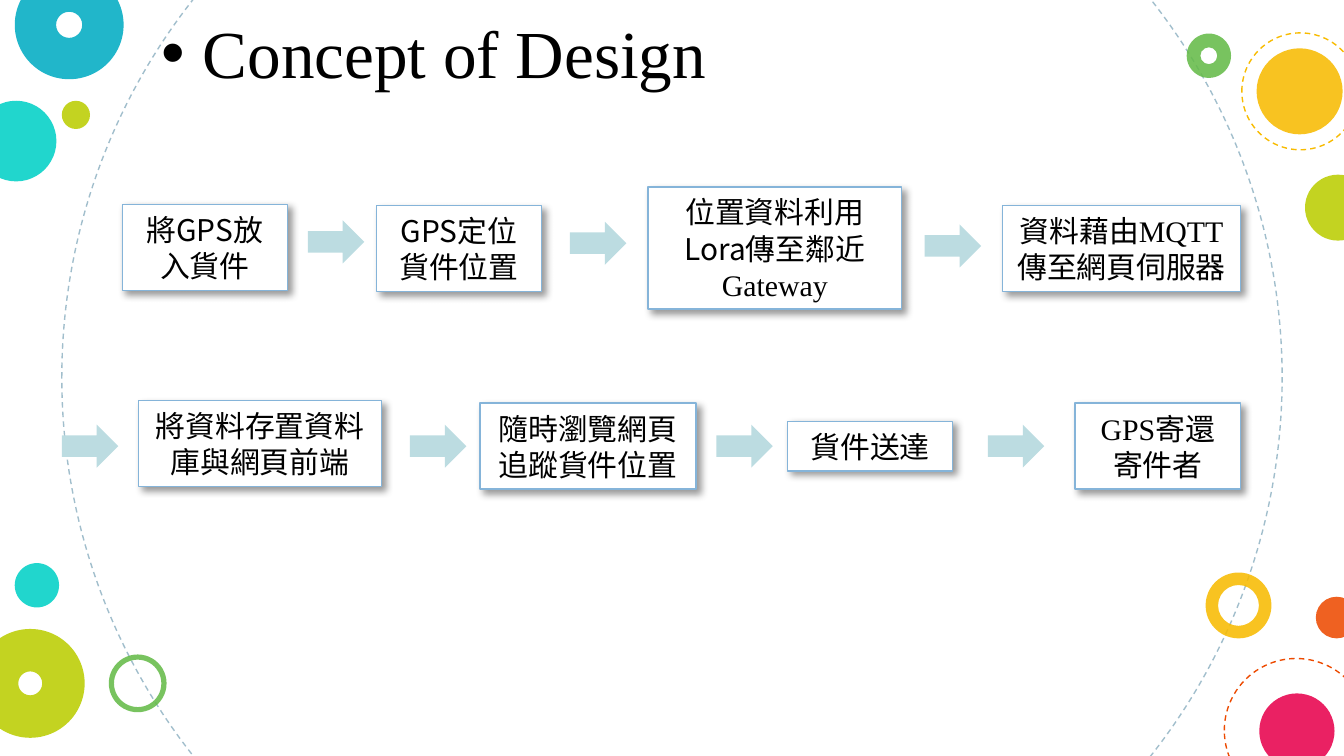
from collections import namedtuple

from lxml.etree import SubElement
from pptx import Presentation
from pptx.dml.color import RGBColor
from pptx.enum.dml import MSO_LINE
from pptx.enum.shapes import MSO_SHAPE as Shape
from pptx.enum.text import MSO_ANCHOR as Anchor, PP_ALIGN as Align
from pptx.oxml.ns import qn
from pptx.util import Emu, Inches, Pt

Box = namedtuple("Box", "x y w h")

COLORS = {
    "white": "FFFFFF", "black": "000000", "orbit": "A1BECC",
    "turquoise": "00D1C6", "cyan": "00ACC3", "lime": "BBCD00",
    "green": "65BB48", "yellow": "F8BB00", "orange": "ED4A00",
    "pink": "E8004C", "border": "85B4D9", "arrow": "BCDCE1",
}
SERIF, SANS = "Times New Roman", "Noto Sans CJK SC"
WIDTH = Inches(10)
HEIGHT = Emu(WIDTH * 9 // 16)
CELL = WIDTH / 100
LINE_ROWS, PAD_ROWS = 2.7, 1
ARROW_W, ARROW_H = 4.2, 3.2

RINGS = [
    (4.6, -17.3, 90.8, "orbit"), (91.1, 49, 10.7, "orange"),
    (92.4, 2.45, 8.7, "yellow"),
]
DISCS = [
    (-1.8, 7.5, 6, "turquoise"), (4.6, 7.5, 2.1, "lime"),
    (97.9, 44.4, 3.1, "orange"), (93.7, 51.6, 5.6, "pink"),
    (93.5, 3.6, 6.4, "yellow"), (97.1, 13, 4.9, "lime"),
    (1.1, 41.9, 3.3, "turquoise"),
]
DONUTS = [
    (89.7, 42.6, 4.9, "yellow", 0.19), (1.1, -2.2, 8.1, "cyan", 0.38),
    (8.1, 48.7, 4.3, "green", 0.09), (-1.8, 46.8, 8.1, "lime", 0.39),
    (88.3, 2.5, 3.3, "green", 0.31),
]
SEND_STEPS = [
    (0, 12.3, 2, 4.5, [("將GPS放入貨件", SANS)]),
    (18.9, 12.3, 2, 4.6, [("GPS定位貨件位置", SANS)]),
    (39.1, 18.9, 3, 4.55, [("位置資料利用Lora傳至鄰近", SANS), ("Gateway", SERIF)]),
    (65.5, 17.7, 2, 4.6, [("資料藉由MQTT傳至網頁伺服器", SERIF)]),
]
SEND_ARROWS = [(13.8, 4.1), (33.3, 4.2), (59.7, 4.4)]
RETURN_STEPS = [
    (5.7, 18.1, 2, 3.2, [("將資料存置資料庫與網頁前端", SERIF)]),
    (31.1, 16.1, 2, 3.4, [("隨時瀏覽網頁追蹤貨件位置", SERIF)]),
    (54, 12.3, 1, 3.4, [("貨件送達", SERIF)]),
    (75.4, 12.3, 2, 3.4, [("GPS寄還寄件者", SERIF)]),
]
RETURN_ARROWS = [(0, 3.4), (25.9, 3.4), (48.7, 3.4), (68.9, 3.4)]


def rgb(name):
    """Return the named colour."""
    return RGBColor.from_string(COLORS[name])


def grid(*cells):
    """Turn grid cells into lengths."""
    return [Emu(round(c * CELL)) for c in cells]


def add_shape(s, kind, box, fill=None, line=None, alpha=None):
    """Add a flat shape with an optional fill, outline and opacity."""
    sp = s.shapes.add_shape(kind, *grid(*box))
    sp.shadow.inherit = False
    if fill:
        sp.fill.solid()
        sp.fill.fore_color.rgb = rgb(fill)
    else:
        sp.fill.background()
    if line:
        sp.line.color.rgb = rgb(line)
        sp.line.width = Pt(0.75)
    else:
        sp.line.fill.background()
    if alpha:
        clr = sp._element.spPr.find(qn("a:solidFill"))[0]
        SubElement(clr, qn("a:alpha"), val=str(alpha * 1000))
    return sp


def add_run(p, text, font, size):
    """Add a black run in the given Latin font."""
    r = p.add_run()
    r.text = text
    r.font.name, r.font.size = font, Pt(size)
    r.font.color.rgb = rgb("black")
    SubElement(r._r.get_or_add_rPr(), qn("a:ea"), typeface=SANS)


def add_drop_shadow(sp):
    """Give a shape a soft shadow to the lower right."""
    effects = sp._element.spPr.find(qn("a:effectLst"))
    shadow = SubElement(effects, qn("a:outerShdw"), blurRad=str(Pt(4)),
                        dist=str(Pt(3)), dir="2700000", algn="tl", rotWithShape="0")
    clr = SubElement(shadow, qn("a:srgbClr"), val=COLORS["black"])
    SubElement(clr, qn("a:alpha"), val="40000")


def draw_bubbles(s, box):
    """Scatter rings, discs and donuts around the edges of the box."""
    for x, y, size, color in RINGS:
        sp = add_shape(s, Shape.OVAL, (box.x + x, box.y + y, size, size), line=color)
        sp.line.dash_style = MSO_LINE.DASH
    for x, y, size, color in DISCS:
        add_shape(s, Shape.OVAL, (box.x + x, box.y + y, size, size), color, alpha=87)
    for x, y, size, color, hole in DONUTS:
        sp = add_shape(s, Shape.DONUT, (box.x + x, box.y + y, size, size), color, alpha=87)
        sp.adjustments[0] = hole


def draw_title(s, box, text):
    """Place the bulleted title at the bottom of the box."""
    tf = s.shapes.add_textbox(*grid(*box)).text_frame
    tf.word_wrap = True
    tf.vertical_anchor = Anchor.BOTTOM
    tf.margin_left = tf.margin_right = tf.margin_top = tf.margin_bottom = Inches(0.1)
    p = tf.paragraphs[0]
    pPr = p._p.get_or_add_pPr()
    pPr.set("marL", str(Inches(0.31)))
    pPr.set("indent", str(-Inches(0.31)))
    SubElement(pPr, qn("a:buFont"), typeface="Arial")
    SubElement(pPr, qn("a:buChar"), char="•")
    add_run(p, text, SERIF, 36)


def draw_step(s, box, runs):
    """Draw one shadowed step card with centred text."""
    sp = add_shape(s, Shape.RECTANGLE, box, "white", "border")
    add_drop_shadow(sp)
    tf = sp.text_frame
    tf.word_wrap = True
    tf.vertical_anchor = Anchor.MIDDLE
    tf.margin_left = tf.margin_right = Inches(0.1)
    tf.margin_top = tf.margin_bottom = Inches(0.05)
    p = tf.paragraphs[0]
    p.alignment = Align.CENTER
    p.line_spacing = Pt(19.3)
    for text, font in runs:
        add_run(p, text, font, 16)


def draw_flow(s, box, steps, arrows):
    """Lay out one row of step cards and arrows, each by its centre row."""
    for x, mid in arrows:
        add_shape(s, Shape.RIGHT_ARROW,
                  (box.x + x, box.y + mid - ARROW_H / 2, ARROW_W, ARROW_H), "arrow")
    for x, w, lines, mid, runs in steps:
        h = lines * LINE_ROWS + PAD_ROWS
        draw_step(s, Box(box.x + x, box.y + mid - h / 2, w, h), runs)


def main():
    """Build the slide and save it."""
    prs = Presentation()
    prs.slide_width, prs.slide_height = WIDTH, HEIGHT
    s = prs.slides.add_slide(prs.slide_layouts[6])
    draw_bubbles(s, Box(0, 0, 100, HEIGHT / CELL))
    draw_title(s, Box(11, 0.85, 49, 7), "Concept of Design")
    draw_flow(s, Box(9.1, 13.9, 83.2, 9.1), SEND_STEPS, SEND_ARROWS)
    draw_flow(s, Box(4.6, 29.8, 87.7, 6.6), RETURN_STEPS, RETURN_ARROWS)
    prs.save("out.pptx")


if __name__ == "__main__":
    main()
